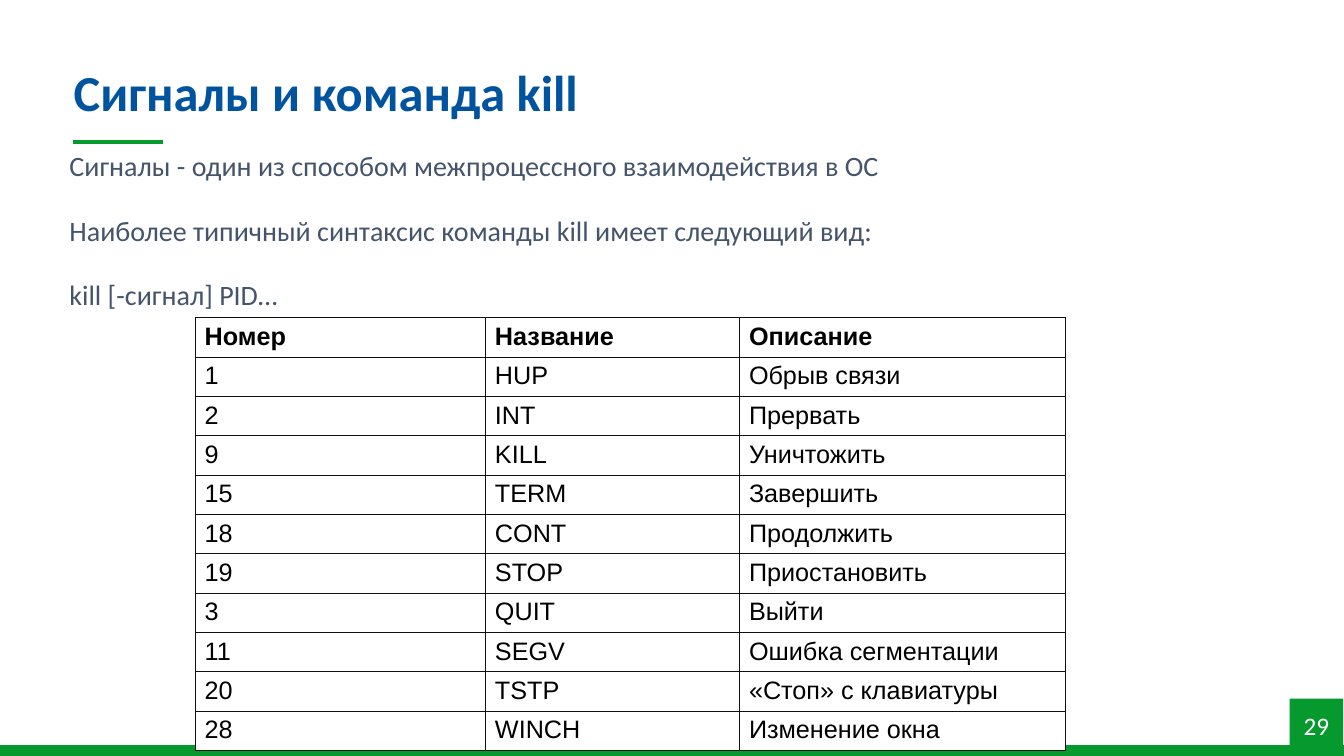
from lxml import etree
from pptx import Presentation
from pptx.dml.color import RGBColor
from pptx.enum.shapes import MSO_CONNECTOR, MSO_SHAPE
from pptx.enum.text import MSO_ANCHOR, MSO_AUTO_SIZE, PP_ALIGN
from pptx.oxml.ns import qn
from pptx.util import Inches, Pt

RECTANGLE = MSO_SHAPE.RECTANGLE
STRAIGHT = MSO_CONNECTOR.STRAIGHT
TOP, MIDDLE = MSO_ANCHOR.TOP, MSO_ANCHOR.MIDDLE
LEFT, CENTER = PP_ALIGN.LEFT, PP_ALIGN.CENTER
NO_AUTOFIT = MSO_AUTO_SIZE.NONE

GREEN = RGBColor(0x06, 0x9A, 0x2E)
BLUE = RGBColor(0x00, 0x54, 0x9F)
SLATE = RGBColor(0x44, 0x54, 0x6A)
BLACK = RGBColor(0x00, 0x00, 0x00)
WHITE = RGBColor(0xFF, 0xFF, 0xFF)
BORDER = RGBColor(0x11, 0x11, 0x11)

TITLE_ONLY = 5
TITLE = "Сигналы и команда kill"
PARAGRAPHS = [
    "Сигналы - один из способом межпроцессного взаимодействия в ОС",
    "Наиболее типичный синтаксис команды kill имеет следующий вид:",
    "kill [-сигнал] PID…",
]
SIGNALS = [
    ("Номер", "Название", "Описание"),
    ("1", "HUP", "Обрыв связи"),
    ("2", "INT", "Прервать"),
    ("9", "KILL", "Уничтожить"),
    ("15", "TERM", "Завершить"),
    ("18", "CONT", "Продолжить"),
    ("19", "STOP", "Приостановить"),
    ("3", "QUIT", "Выйти"),
    ("11", "SEGV", "Ошибка сегментации"),
    ("20", "TSTP", "«Стоп» с клавиатуры"),
    ("28", "WINCH", "Изменение окна"),
]


class SlideBuilder:
    text_font = "Calibri"
    table_font = "Arial"

    def __init__(self, presentation):
        self.width = presentation.slide_width
        self.height = presentation.slide_height
        self.slide = presentation.slides.add_slide(presentation.slide_layouts[TITLE_ONLY])
        self.shapes = self.slide.shapes

    def across(self, percent):
        return round(self.width * percent / 100)

    def down(self, percent):
        return round(self.height * percent / 100)

    def box(self, left, top, width, height):
        return self.across(left), self.down(top), self.across(width), self.down(height)

    def style(self, paragraph, size, color, bold=False, font=None, align=LEFT):
        paragraph.alignment = align
        paragraph.font.name = font or self.text_font
        paragraph.font.size = Pt(size)
        paragraph.font.bold = bold
        paragraph.font.color.rgb = color

    def title(self, text, *place):
        shape = self.shapes.title
        shape.left, shape.top, shape.width, shape.height = self.box(*place)
        frame = shape.text_frame
        frame.text = text
        frame.auto_size = NO_AUTOFIT
        frame.vertical_anchor = TOP
        paragraph = frame.paragraphs[0]
        self.style(paragraph, 36, BLUE, bold=True)
        paragraph.line_spacing = 0.9

    def block(self, *place, text=""):
        shape = self.shapes.add_shape(RECTANGLE, *self.box(*place))
        shape.shadow.inherit = False
        shape.fill.solid()
        shape.fill.fore_color.rgb = GREEN
        shape.line.fill.background()
        if text:
            shape.text_frame.text = text
            shape.text_frame.vertical_anchor = MIDDLE
            self.style(shape.text_frame.paragraphs[0], 18, WHITE, align=CENTER)

    def rule(self, left, right, top):
        start, end, level = self.across(left), self.across(right), self.down(top)
        line = self.shapes.add_connector(STRAIGHT, start, level, end, level)
        line.line.color.rgb = GREEN
        line.line.width = Pt(3)
        etree.SubElement(line._element.spPr, qn("a:effectLst"))

    def body(self, texts, *place):
        frame = self.shapes.add_textbox(*self.box(*place)).text_frame
        frame.word_wrap = True
        frame.text = "\n".join(texts)
        for paragraph in frame.paragraphs:
            self.style(paragraph, 20, SLATE)
            paragraph.line_spacing = 1.5
            paragraph.space_before = Pt(10)

    def table(self, rows, left, top, widths, row_height):
        place = self.box(left, top, sum(widths), row_height * len(rows))
        table = self.shapes.add_table(len(rows), len(widths), *place).table
        table.horz_banding = False
        for column, width in zip(table.columns, widths):
            column.width = self.across(width)
        for row_index, values in enumerate(rows):
            table.rows[row_index].height = self.down(row_height)
            for column_index, value in enumerate(values):
                self.cell(table.cell(row_index, column_index), value, row_index == 0)

    def cell(self, cell, text, bold):
        cell.text = text
        cell.margin_bottom = Inches(0.04)
        self.style(cell.text_frame.paragraphs[0], 18, BLACK, bold, self.table_font)
        properties = cell._tc.get_or_add_tcPr()
        for side in ("a:lnL", "a:lnR", "a:lnT", "a:lnB"):
            line = etree.SubElement(properties, qn(side), w=str(Pt(0.06)))
            fill = etree.SubElement(line, qn("a:solidFill"))
            etree.SubElement(fill, qn("a:srgbClr"), val=str(BORDER))
        cell.fill.solid()
        cell.fill.fore_color.rgb = WHITE


def main():
    presentation = Presentation()
    presentation.slide_width = Inches(13.33)
    presentation.slide_height = Inches(7.5)
    builder = SlideBuilder(presentation)
    builder.block(0, 98.55, 100, 1.45)
    builder.block(95.95, 92.4, 4, 7.07, text="29")
    builder.rule(5.4, 12.15, 18.8)
    builder.title(TITLE, 4.73, 8.27, 88.37, 7.6)
    builder.body(PARAGRAPHS, 4.43, 16.8, 85.67, 74.27)
    builder.table(SIGNALS, 14.48, 42, (21.6, 18.9, 24.3), 5.1)
    presentation.save("out.pptx")


if __name__ == "__main__":
    main()
